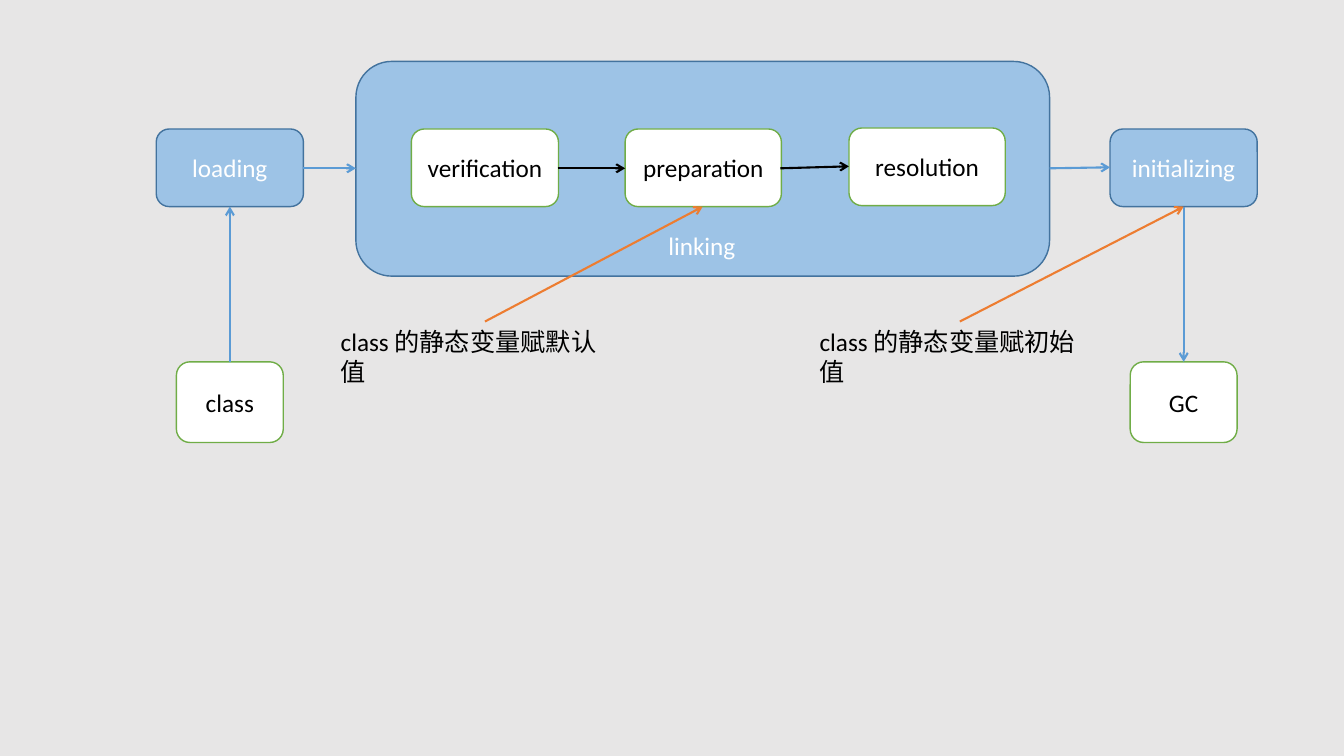
"""Draw the class loading flow from class file to garbage collection."""
from lxml import etree
from pptx import Presentation
from pptx.dml.color import RGBColor
from pptx.enum import shapes, text
from pptx.oxml.ns import qn
from pptx.util import Inches, Pt

GREY = RGBColor(0xE7, 0xE6, 0xE6)
WHITE = RGBColor(0xFF, 0xFF, 0xFF)
BLACK = RGBColor(0, 0, 0)
PALE = RGBColor(0x9D, 0xC3, 0xE6)
NAVY = RGBColor(0x43, 0x73, 0x9E)
BLUE = RGBColor(0x5B, 0x9B, 0xD5)
GREEN = RGBColor(0x70, 0xAD, 0x47)
ORANGE = RGBColor(0xED, 0x7D, 0x31)

deck = Presentation()
deck.slide_width, deck.slide_height = Inches(13.33), Inches(7.5)
slide = deck.slides.add_slide(deck.slide_layouts[6])
slide.background.fill.solid()
slide.background.fill.fore_color.rgb = GREY


def write(shape, words, color):
    frame = shape.text_frame
    frame.text = words
    font = frame.paragraphs[0].runs[0].font
    font.name, font.size, font.color.rgb = "Calibri", Pt(18), color
    return frame


blue, plain = (PALE, NAVY, WHITE), (WHITE, GREEN, BLACK)
boxes = [
    ("", 3.53, 0.61, 6.88, 2.13, blue),
    ("class", 1.75, 3.59, 1.06, 0.8, plain),
    ("GC", 11.21, 3.59, 1.06, 0.8, plain),
    ("initializing", 11.01, 1.28, 1.46, 0.77, blue),
    ("loading", 1.55, 1.28, 1.46, 0.77, blue),
    ("verification", 4.08, 1.28, 1.46, 0.77, plain),
    ("preparation", 6.2, 1.28, 1.55, 0.77, plain),
    ("resolution", 8.42, 1.27, 1.55, 0.77, plain),
]
for words, left, top, width, height, (fill, edge, ink) in boxes:
    box = slide.shapes.add_shape(
        shapes.MSO_SHAPE.ROUNDED_RECTANGLE,
        Inches(left), Inches(top), Inches(width), Inches(height))
    box.shadow.inherit = False
    box.fill.solid()
    box.fill.fore_color.rgb = fill
    box.line.color.rgb, box.line.width = edge, Pt(1)
    if words:
        frame = write(box, words, ink)
        frame.vertical_anchor = text.MSO_ANCHOR.MIDDLE
        frame.paragraphs[0].alignment = text.PP_ALIGN.CENTER

labels = [
    ("linking", 6.53, 2.24, 0.87, WHITE, False),
    ("class 的静态变量赋默认值", 3.28, 3.19, 2.98, BLACK, True),
    ("class 的静态变量赋初始值", 8.03, 3.19, 2.98, BLACK, True),
]
for words, left, top, width, ink, wrap in labels:
    label = slide.shapes.add_textbox(
        Inches(left), Inches(top), Inches(width), Inches(0.4))
    frame = write(label, words, ink)
    frame.word_wrap = wrap
    frame.auto_size = text.MSO_AUTO_SIZE.SHAPE_TO_FIT_TEXT

arrows = [
    (5.53, 1.67, 6.2, 1.67, BLACK),
    (7.74, 1.67, 8.42, 1.65, BLACK),
    (2.28, 3.59, 2.28, 2.05, BLUE),
    (3.01, 1.67, 3.53, 1.67, BLUE),
    (10.41, 1.67, 11.01, 1.66, BLUE),
    (11.74, 2.05, 11.74, 3.59, BLUE),
    (4.81, 3.19, 6.97, 2.05, ORANGE),
    (9.52, 3.19, 11.74, 2.05, ORANGE),
]
for *ends, color in arrows:
    arrow = slide.shapes.add_connector(
        shapes.MSO_CONNECTOR.STRAIGHT, *map(Inches, ends))
    arrow.line.color.rgb, arrow.line.width = color, Pt(1.5)
    etree.SubElement(arrow.line._get_or_add_ln(), qn("a:tailEnd"), type="arrow")
    etree.SubElement(arrow._element.spPr, qn("a:effectLst"))

deck.save("out.pptx")
